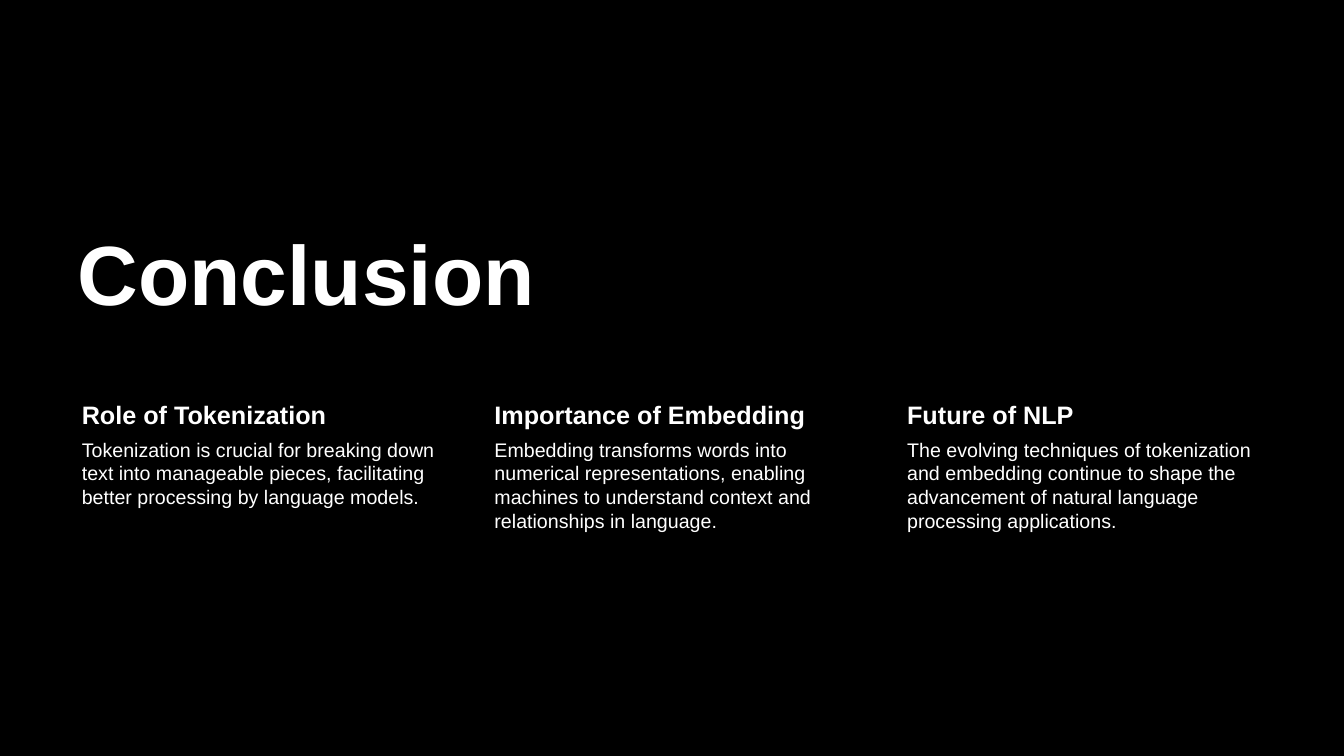
from dataclasses import dataclass

from pptx import Presentation
from pptx import util as u
from pptx.dml.color import RGBColor
from pptx.enum import text as t
from pptx.slide import Slide

PX = 9525
BLACK = RGBColor(0x00, 0x00, 0x00)
WHITE = RGBColor(0xFF, 0xFF, 0xFF)
FONT = "Arial"

LEFT = 64
COLUMN_WIDTH = 357
COLUMN_PITCH = 393
HEADING_TOP = 377
HEADING_HEIGHT = 38
BODY_HEIGHT = 224


@dataclass(frozen=True)
class Takeaway:
    heading: str
    body: str


TAKEAWAYS = [
    Takeaway(
        "Role of Tokenization",
        "Tokenization is crucial for breaking down text into manageable pieces, "
        "facilitating better processing by language models.",
    ),
    Takeaway(
        "Importance of Embedding",
        "Embedding transforms words into numerical representations, enabling "
        "machines to understand context and relationships in language.",
    ),
    Takeaway(
        "Future of NLP",
        "The evolving techniques of tokenization and embedding continue to shape "
        "the advancement of natural language processing applications.",
    ),
]


def px(length: int) -> u.Emu:
    return u.Emu(length * PX)


def add_text(
    page: Slide,
    words: str,
    *,
    left: int,
    top: int,
    width: int,
    height: int,
    size: int,
    bold: bool = False,
    insets: tuple[int, int, int, int] = (10, 5, 10, 5),
    anchor: t.MSO_ANCHOR = t.MSO_ANCHOR.TOP,
    line_spacing: float = 1.0,
) -> None:
    box = page.shapes.add_textbox(px(left), px(top), px(width), px(height))
    frame = box.text_frame
    frame.word_wrap = True
    frame.vertical_anchor = anchor
    frame.margin_left, frame.margin_top, frame.margin_right, frame.margin_bottom = map(px, insets)
    para = frame.paragraphs[0]
    para.line_spacing = line_spacing
    span = para.add_run()
    span.text = words
    span.font.name = FONT
    span.font.size = u.Pt(size)
    span.font.bold = bold
    span.font.color.rgb = WHITE


def add_takeaway(page: Slide, takeaway: Takeaway, left: int) -> None:
    add_text(page, takeaway.heading, left=left, top=HEADING_TOP, width=COLUMN_WIDTH,
             height=HEADING_HEIGHT, size=18, bold=True, insets=(14, 3, 3, 3))
    add_text(page, takeaway.body, left=left, top=HEADING_TOP + HEADING_HEIGHT,
             width=COLUMN_WIDTH, height=BODY_HEIGHT, size=14, insets=(14, 2, 2, 2))


def main() -> None:
    deck = Presentation()
    deck.slide_width, deck.slide_height = px(1280), px(720)
    page = deck.slides.add_slide(deck.slide_layouts[6])
    page.background.fill.solid()
    page.background.fill.fore_color.rgb = BLACK
    add_text(page, "Conclusion", left=LEFT, top=194, width=771, height=119, size=60,
             bold=True, anchor=t.MSO_ANCHOR.BOTTOM, line_spacing=0.9)
    for column, takeaway in enumerate(TAKEAWAYS):
        add_takeaway(page, takeaway, LEFT + column * COLUMN_PITCH)
    deck.save("out.pptx")


if __name__ == "__main__":
    main()
